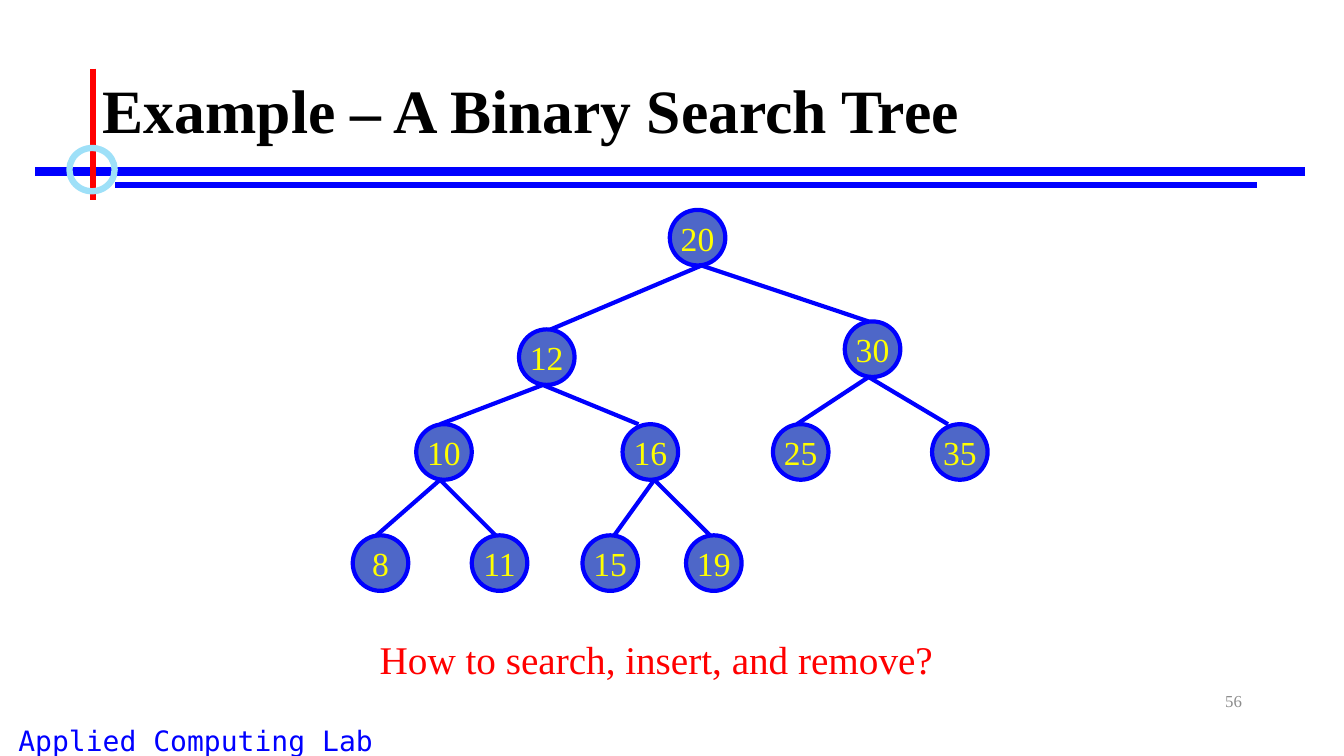
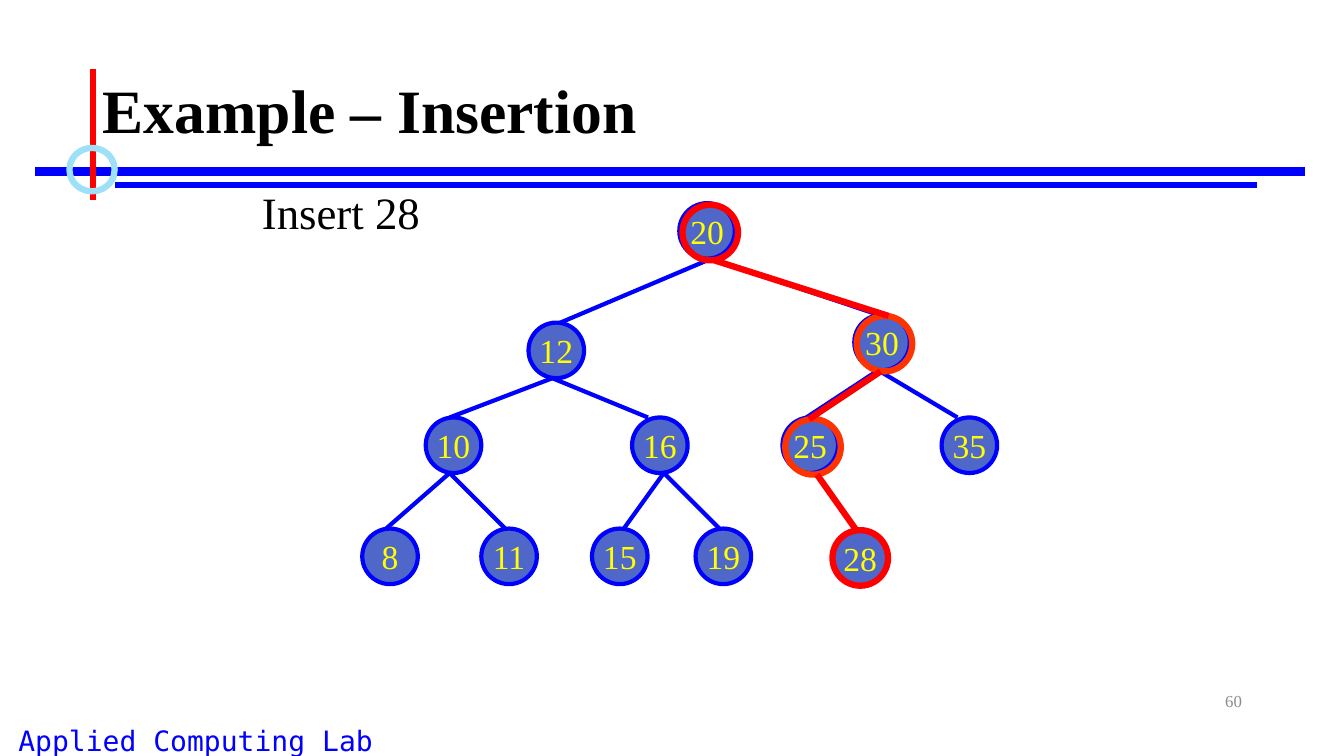
"""Build two slides on a binary search tree and inserting a key into it."""
from lxml import etree
from pptx import Presentation
from pptx.dml.color import RGBColor
from pptx.enum.shapes import MSO_CONNECTOR, MSO_SHAPE
from pptx.enum.text import MSO_ANCHOR, MSO_AUTO_SIZE, PP_ALIGN
from pptx.oxml.ns import qn
from pptx.util import Cm, Pt

BLUE = RGBColor(0x00, 0x00, 0xFF)
RED = RGBColor(0xFF, 0x00, 0x00)
ORANGE = RGBColor(0xFF, 0x33, 0x00)
SKY = RGBColor(0x9E, 0xE0, 0xF8)
INDIGO = RGBColor(0x4E, 0x67, 0xC8)
YELLOW = RGBColor(0xFF, 0xFF, 0x00)
BLACK = RGBColor(0x00, 0x00, 0x00)
GREY = RGBColor(0x8C, 0x8C, 0x8C)
SERIF = "Times New Roman"
MONO = "DejaVu Sans Mono"
NODE = 1.4


def outline(shape, colour, weight):
    """Give a shape or connector a plain line without a shadow."""
    shape.line.color.rgb = colour
    shape.line.width = Pt(weight)
    etree.SubElement(shape.element.spPr, qn("a:effectLst"))
    return shape


def write(frame, words, size, colour, align=PP_ALIGN.LEFT, font=SERIF):
    """Write one run into a text frame and return the run."""
    paragraph = frame.paragraphs[0]
    paragraph.alignment = align
    run = paragraph.add_run()
    run.text = words
    run.font.name = font
    run.font.size = Pt(size)
    run.font.color.rgb = colour
    return run


prs = Presentation()
prs.slide_width, prs.slide_height = Cm(33.87), Cm(19.05)
title_only = prs.slide_layouts[5]
tree_slide = prs.slides.add_slide(title_only)
insertion_slide = prs.slides.add_slide(title_only)

# key: (parent, left, top, incoming edge offset, outgoing edge offset)
tree = {
    20: (None, 16.88, 5.29, 0.8, 0.8),
    12: (20, 13.08, 8.3, 0.8, 0.6),
    30: (20, 21.29, 8.1, 0.6, 0.6),
    10: (12, 10.49, 10.69, 0.6, 0.6),
    16: (12, 15.69, 10.69, 0.4, 0.8),
    25: (30, 19.48, 10.69, 0.6, 0.6),
    35: (30, 23.49, 10.69, 0.4, 0.6),
    8: (10, 8.89, 13.49, 0.6, 0.6),
    11: (10, 11.89, 13.49, 0.6, 0.6),
    15: (16, 14.68, 13.49, 0.8, 0.6),
    19: (16, 17.29, 13.49, 0.6, 0.6),
}

shared = []
for x1, y1, x2, y2, colour, weight in [
    (0.89, 4.32, 32.89, 4.32, BLUE, 6),
    (2.9, 4.67, 31.67, 4.67, BLUE, 4.5),
    (2.34, 1.73, 2.34, 5.05, RED, 4.5),
]:
    band = tree_slide.shapes.add_connector(
        MSO_CONNECTOR.STRAIGHT, Cm(x1), Cm(y1), Cm(x2), Cm(y2))
    shared.append(outline(band, colour, weight))
ring = tree_slide.shapes.add_shape(
    MSO_SHAPE.OVAL, Cm(1.75), Cm(3.73), Cm(1.14), Cm(1.09))
ring.fill.background()
shared.append(outline(ring, SKY, 4.5))
lab = tree_slide.shapes.add_textbox(Cm(-1.47), Cm(18.11), Cm(12.8), Cm(1.09))
lab.text_frame.word_wrap = True
write(lab.text_frame, "Applied Computing Lab", 20, BLUE, PP_ALIGN.CENTER, MONO)
shared.append(lab)
for number, part in enumerate(shared, start=20):
    part.element.xpath(".//p:cNvPr")[0].set("id", str(number))
    title_only.shapes.element.append(part.element)

for slide, heading, page, shift_x, shift_y, note, note_box, size, colour in [
    (tree_slide, "Example – A Binary Search Tree", "56", 0, 0,
     "How to search, insert, and remove?", (9.32, 15.88, 14.68, 1.45), 28, RED),
    (insertion_slide, "Example – Insertion", "60", 0.24, -0.17,
     "Insert 28", (6.35, 4.52, 4.52, 1.63), 32, BLACK),
]:
    title = slide.shapes.title
    title.left, title.top = Cm(2.34), Cm(1.02)
    title.width, title.height = Cm(29.21), Cm(3.68)
    title.text_frame.auto_size = MSO_AUTO_SIZE.NONE
    title.text_frame.vertical_anchor = MSO_ANCHOR.MIDDLE
    title.text_frame.paragraphs[0].line_spacing = 0.9
    write(title.text_frame, heading, 44, BLACK).font.bold = True

    page_number = slide.shapes.add_textbox(Cm(23.93), Cm(17.15), Cm(7.62), Cm(1.01))
    page_number.text_frame.word_wrap = True
    page_number.text_frame.vertical_anchor = MSO_ANCHOR.MIDDLE
    write(page_number.text_frame, page, 12, GREY, PP_ALIGN.RIGHT)

    diagram = slide.shapes.add_group_shape().shapes
    for key, (parent, left, top, edge_in, edge_out) in tree.items():
        node = diagram.add_shape(MSO_SHAPE.OVAL, Cm(left + shift_x),
                                 Cm(top + shift_y), Cm(NODE), Cm(NODE))
        node.fill.solid()
        node.fill.fore_color.rgb = INDIGO
        outline(node, BLUE, 3)
        node.text_frame.word_wrap = False
        node.text_frame.vertical_anchor = MSO_ANCHOR.MIDDLE
        write(node.text_frame, str(key), 24, YELLOW, PP_ALIGN.CENTER)
    for parent, left, top, edge_in, edge_out in tree.values():
        if parent:
            above, parent_left, parent_top, parent_in, parent_out = tree[parent]
            edge = diagram.add_connector(
                MSO_CONNECTOR.STRAIGHT,
                Cm(parent_left + parent_out + shift_x), Cm(parent_top + NODE + shift_y),
                Cm(left + edge_in + shift_x), Cm(top + shift_y))
            outline(edge, BLUE, 3)

    remark = slide.shapes.add_textbox(*[Cm(length) for length in note_box])
    remark.text_frame.word_wrap = False
    write(remark.text_frame, note, size, colour)

edge_start = None
for left, top, edge_in, edge_out, colour, new_key in [
    (17.2, 5.16, 0.8, 0.8, RED, None),
    (21.59, 7.96, 0.8, 0.6, ORANGE, None),
    (19.79, 10.56, 0.6, 0.8, ORANGE, None),
    (20.98, 13.36, 0.6, 0.6, RED, "28"),
]:
    visited = insertion_slide.shapes.add_shape(
        MSO_SHAPE.OVAL, Cm(left), Cm(top), Cm(NODE), Cm(NODE))
    visited.fill.background()
    outline(visited, colour, 4.5)
    if new_key:
        visited.fill.solid()
        visited.fill.fore_color.rgb = INDIGO
        visited.text_frame.word_wrap = False
        visited.text_frame.vertical_anchor = MSO_ANCHOR.MIDDLE
        write(visited.text_frame, new_key, 24, YELLOW, PP_ALIGN.CENTER)
    if edge_start:
        step = insertion_slide.shapes.add_connector(
            MSO_CONNECTOR.STRAIGHT, *edge_start, Cm(left + edge_in), Cm(top))
        outline(step, RED, 4.5)
    edge_start = Cm(left + edge_out), Cm(top + NODE)

prs.save("out.pptx")
